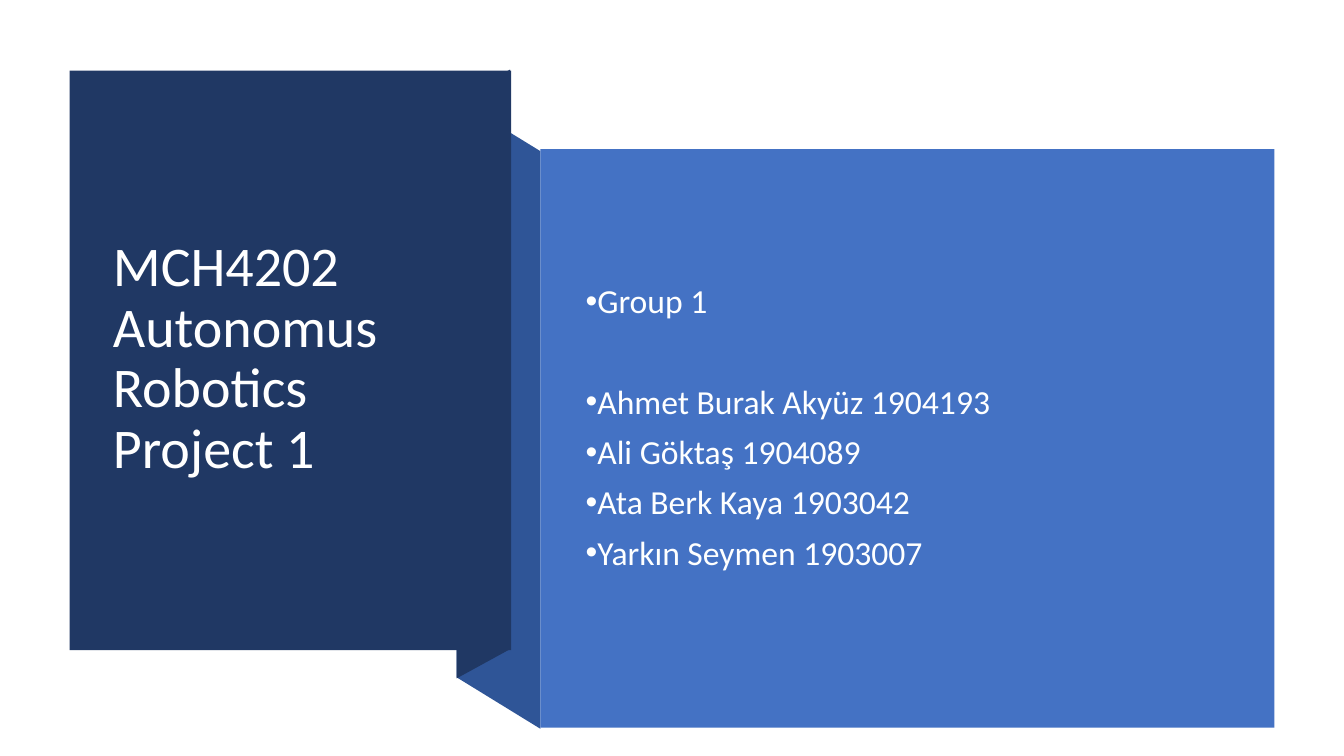
"""Build the title slide of a robotics project with its group members."""
from pptx import Presentation
from pptx.dml.color import RGBColor as RGB
from pptx.enum.shapes import MSO_SHAPE as Shape
from pptx.enum.text import MSO_ANCHOR as Anchor, MSO_AUTO_SIZE as Fit, PP_ALIGN as Align
from pptx.oxml.ns import qn
from pptx.util import Inches, Pt
from lxml.etree import SubElement as Sub

NAVY = RGB(0x20, 0x38, 0x64)
FOLD = RGB(0x2F, 0x55, 0x97)
BLUE = RGB(0x44, 0x72, 0xC4)
WHITE = RGB(0xFF, 0xFF, 0xFF)
PALE = RGB(0xFE, 0xFF, 0xFF)
MEMBERS = ["Ahmet Burak Akyüz 1904193", "Ali Göktaş 1904089",
           "Ata Berk Kaya 1903042", "Yarkın Seymen 1903007"]


def write(para, text, font="Calibri", size=24, color=WHITE, before=0, bullet=None):
    para.alignment = Align.LEFT
    para.line_spacing = 0.9
    para.space_before = Pt(before)
    run = para.add_run()
    run.text = text
    run.font.name = font
    run.font.size = Pt(size)
    run.font.color.rgb = color
    if bullet:
        props = para._p.get_or_add_pPr()
        props.set("marL", "0")
        props.set("indent", str(Inches(-0.25)))
        Sub(props, qn("a:buFont")).set("typeface", "Arial")
        Sub(props, qn("a:buChar")).set("char", bullet)


class Deck:
    def __init__(self, font):
        self.font = font
        self.show = Presentation()
        self.show.slide_width = Inches(13.33)
        self.show.slide_height = Inches(7.5)
        self.slide = self.show.slides.add_slide(self.show.slide_layouts[5])
        self.shapes = self.slide.shapes

    def paint(self, shape, color):
        shape.shadow.inherit = False
        shape.fill.solid()
        shape.fill.fore_color.rgb = color
        shape.line.fill.background()

    def panel(self, box, color):
        shape = self.shapes.add_shape(Shape.RECTANGLE, *map(Inches, box))
        self.paint(shape, color)

    def fold(self, points, color):
        first, *rest = [tuple(map(Inches, point)) for point in points]
        outline = self.shapes.build_freeform(*first)
        outline.add_line_segments(rest, close=True)
        self.paint(outline.convert_to_shape(), color)

    def frame(self, shape):
        frame = shape.text_frame
        frame.word_wrap = True
        frame.auto_size = Fit.NONE
        frame.vertical_anchor = Anchor.MIDDLE
        return frame

    def title(self, box, text, **style):
        title = self.shapes.title
        title.left, title.top, title.width, title.height = map(Inches, box)
        tree = title._element.getparent()
        tree.append(title._element)
        write(self.frame(title).paragraphs[0], text, font=self.font, **style)

    def items(self, box, rows, **style):
        frame = self.frame(self.shapes.add_textbox(*map(Inches, box)))
        for i, (text, before) in enumerate(rows):
            para = frame.add_paragraph() if i else frame.paragraphs[0]
            write(para, text, font=self.font, before=before, **style)


deck = Deck("Calibri")
deck.fold([(5.36, 7.23), (4.53, 6.72), (4.53, 0.99), (5.36, 1.5)], FOLD)
deck.fold([(5.06, 6.44), (4.53, 6.73), (4.53, 0.98), (5.06, 0.69)], NAVY)
deck.panel((0.69, 0.7, 4.38, 5.75), NAVY)
deck.title((1.02, 1.07, 3.71, 4.99), "MCH4202 Autonomus Robotics Project 1", size=40)
deck.panel((5.36, 1.48, 7.28, 5.74), BLUE)
rows = [("Group 1", 10)] + [(name, 10 if i else 46) for i, name in enumerate(MEMBERS)]
deck.items((5.71, 1.88, 6.51, 4.74), rows, color=PALE, bullet="•")
deck.show.save("out.pptx")
